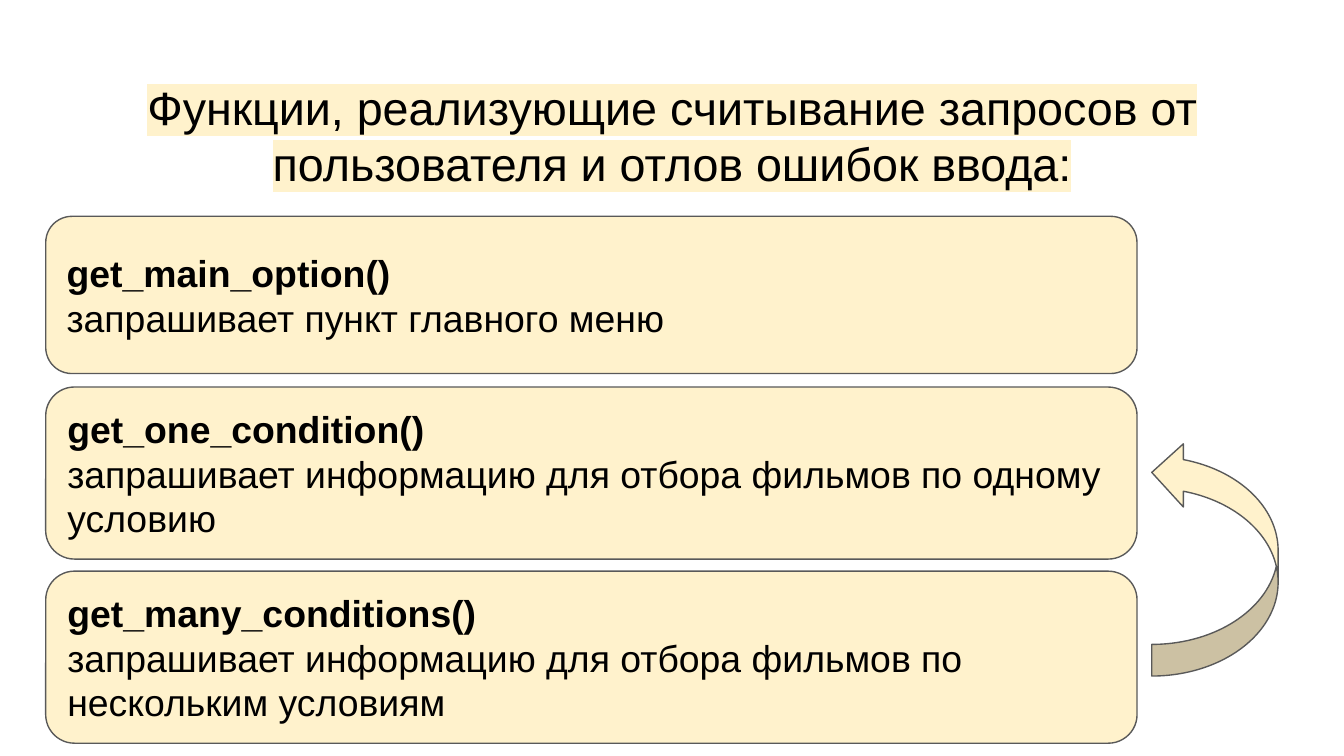
"""Build a slide listing the functions that read user requests."""
from lxml import etree
from pptx import Presentation
from pptx import util as u
from pptx.dml.color import RGBColor
from pptx.enum import shapes, text
from pptx.oxml.ns import qn

HEADING = "Функции, реализующие считывание запросов от пользователя и отлов ошибок ввода:"
FUNCTIONS = [
    ("get_main_option()", "запрашивает пункт главного меню", 1.61, 1.17),
    ("get_one_condition()",
     "запрашивает информацию для отбора фильмов по одному условию", 2.88, 1.28),
    ("get_many_conditions()",
     "запрашивает информацию для отбора фильмов по нескольким условиям", 4.25, 1.28),
]
THEME = {
    "font": "Arial", "ink": "000000", "cream": "FFF2CC", "outline": "595959",
    "heading_size": 25, "body_size": 20, "outline_width": 0.75, "inset": 0.1,
}
LEFT, CARD_WIDTH = 0.34, 8.12


def prepare_frame(frame, anchor):
    frame.word_wrap = True
    frame.auto_size = text.MSO_AUTO_SIZE.NONE
    frame.vertical_anchor = anchor
    frame.margin_left = frame.margin_right = u.Inches(THEME["inset"])
    frame.margin_top = frame.margin_bottom = u.Inches(THEME["inset"])


def add_run(paragraph, wording, size, align, bold=False):
    paragraph.alignment = align
    run = paragraph.add_run()
    run.text = wording
    run.font.name = THEME["font"]
    run.font.size = u.Pt(size)
    run.font.bold = bold
    run.font.color.rgb = RGBColor.from_string(THEME["ink"])
    return run


def highlight(run):
    marker = etree.Element(qn("a:highlight"))
    etree.SubElement(marker, qn("a:srgbClr"), val=THEME["cream"])
    run.font._element.find(qn("a:solidFill")).addnext(marker)


def add_cream_shape(slide, preset, left, top, width, height):
    shape = slide.shapes.add_shape(preset, *map(u.Inches, (left, top, width, height)))
    shape.shadow.inherit = False
    shape.fill.solid()
    shape.fill.fore_color.rgb = RGBColor.from_string(THEME["cream"])
    shape.line.color.rgb = RGBColor.from_string(THEME["outline"])
    shape.line.width = u.Pt(THEME["outline_width"])
    return shape


def add_heading(slide):
    heading = slide.shapes.title
    heading.left, heading.top = u.Inches(LEFT), u.Inches(0.49)
    heading.width, heading.height = u.Inches(9.32), u.Inches(1.08)
    prepare_frame(heading.text_frame, text.MSO_ANCHOR.TOP)
    highlight(add_run(heading.text_frame.paragraphs[0], HEADING,
                      THEME["heading_size"], text.PP_ALIGN.CENTER))


def add_cards(slide):
    for name, purpose, top, height in FUNCTIONS:
        card = add_cream_shape(slide, shapes.MSO_SHAPE.ROUNDED_RECTANGLE,
                               LEFT, top, CARD_WIDTH, height)
        frame = card.text_frame
        prepare_frame(frame, text.MSO_ANCHOR.MIDDLE)
        add_run(frame.paragraphs[0], name, THEME["body_size"],
                text.PP_ALIGN.LEFT, bold=True)
        add_run(frame.add_paragraph(), purpose, THEME["body_size"],
                text.PP_ALIGN.LEFT)


def add_return_arrow(slide):
    arrow = add_cream_shape(slide, shapes.MSO_SHAPE.CURVED_RIGHT_ARROW,
                            8.57, 3.28, 0.94, 1.75)
    arrow.rotation = 180
    for index, value in enumerate((0.25, 0.5, 0.25)):
        arrow.adjustments[index] = value


def main():
    deck = Presentation()
    deck.slide_width = u.Inches(10)
    deck.slide_height = deck.slide_width * 9 // 16
    slide = deck.slides.add_slide(deck.slide_layouts[5])
    add_heading(slide)
    add_cards(slide)
    add_return_arrow(slide)
    deck.save("out.pptx")


if __name__ == "__main__":
    main()
